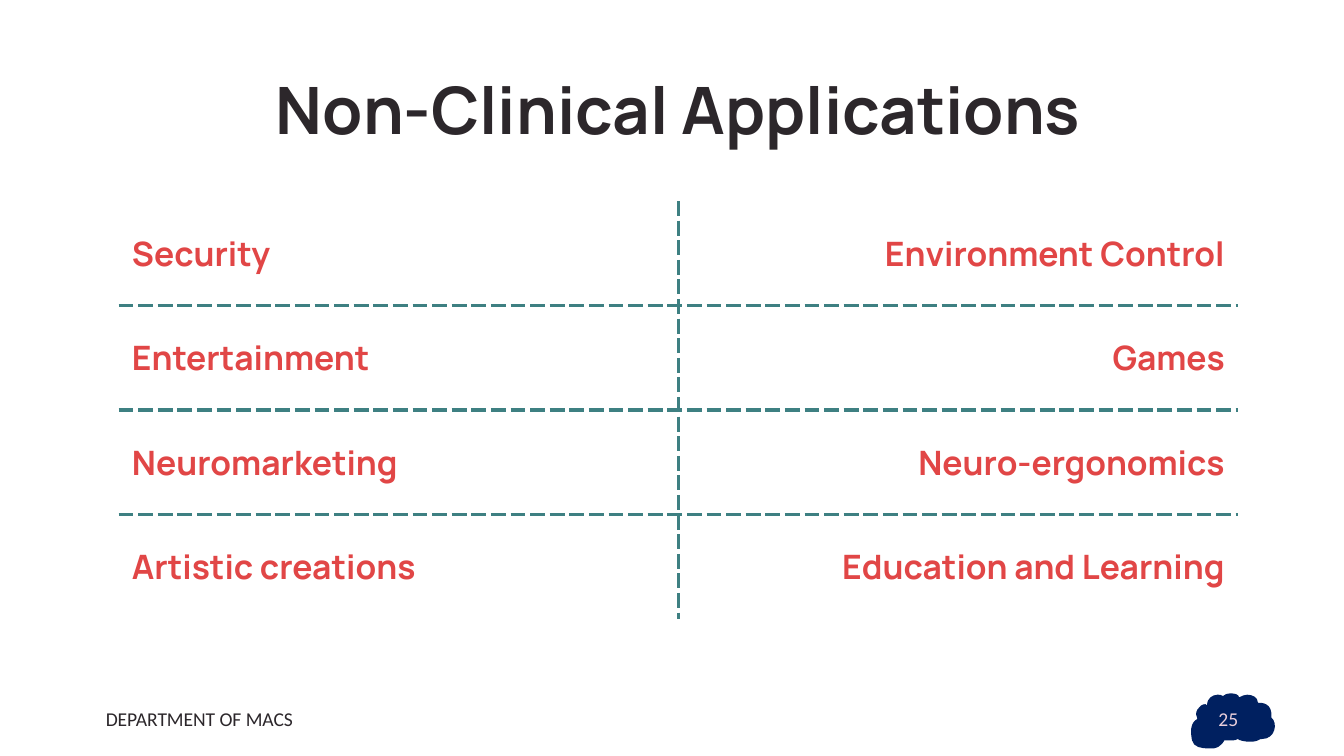
from lxml import etree
from pptx import Presentation
from pptx.dml.color import RGBColor
from pptx.enum.text import MSO_ANCHOR, PP_ALIGN
from pptx.oxml.ns import qn
from pptx.util import Cm, Pt

LEFT, CENTER, RIGHT = PP_ALIGN.LEFT, PP_ALIGN.CENTER, PP_ALIGN.RIGHT
MIDDLE = MSO_ANCHOR.MIDDLE

INK = RGBColor(0x2C, 0x27, 0x2B)
RED = RGBColor(0xE1, 0x46, 0x46)
TEAL = RGBColor(0x3E, 0x80, 0x82)
NAVY = RGBColor(0x00, 0x20, 0x60)
PINK = RGBColor(0xEA, 0xCF, 0xDB)

APPLICATIONS = [
    ("Security", "Environment Control"),
    ("Entertainment", "Games"),
    ("Neuromarketing", "Neuro-ergonomics"),
    ("Artistic creations", "Education and Learning"),
]

# Cloud outline in hundredths of an inch: two control points and an end per curve
CLOUD_UNIT = Cm(0.0254)
CLOUD_START = (916, 516)
CLOUD_CURVES = [
    ((919, 516), (922, 517), (922, 519)),
    ((924, 518), (926, 517), (928, 517)),
    ((932, 517), (936, 519), (936, 523)),
    ((936, 523), (936, 523), (936, 523)),
    ((939, 523), (947, 523), (946, 534)),
    ((951, 538), (949, 550), (939, 550)),
    ((939, 550), (938, 550), (938, 550)),
    ((935, 552), (932, 552), (930, 552)),
    ((926, 552), (922, 551), (921, 550)),
    ((920, 551), (918, 551), (917, 551)),
    ((914, 551), (911, 551), (911, 551)),
    ((911, 551), (909, 556), (903, 557)),
    ((902, 557), (900, 557), (899, 557)),
    ((894, 557), (888, 556), (887, 551)),
    ((886, 546), (885, 538), (891, 535)),
    ((888, 531), (892, 524), (897, 524)),
    ((897, 524), (898, 525), (898, 525)),
    ((898, 520), (902, 517), (906, 517)),
    ((907, 517), (909, 517), (910, 518)),
    ((911, 517), (913, 516), (916, 516)),
]


def write_text(text_frame, text, *, font="Calibri", size=10.5, color=INK,
               bold=False, align=LEFT):
    paragraph = text_frame.paragraphs[0]
    paragraph.alignment = align
    run = paragraph.add_run()
    run.text = text
    run.font.name = font
    run.font.size = Pt(size)
    run.font.bold = bold
    run.font.color.rgb = color


def bend_segments(shape):
    """Turn each three line segments of a freeform into one cubic curve."""
    segments = list(shape._element.iter(qn("a:lnTo")))
    for index in range(0, len(segments), 3):
        curve = etree.Element(qn("a:cubicBezTo"))
        segments[index].addprevious(curve)
        for segment in segments[index:index + 3]:
            curve.append(segment[0])
            segment.getparent().remove(segment)


def set_border(cell, side, visible):
    line = etree.SubElement(cell._tc.get_or_add_tcPr(), qn(f"a:ln{side}"),
                            w=str(Pt(2.25)))
    if visible:
        fill = etree.SubElement(line, qn("a:solidFill"))
        etree.SubElement(fill, qn("a:srgbClr"), val=str(TEAL))
        etree.SubElement(line, qn("a:prstDash"), val="sysDash")
    else:
        etree.SubElement(line, qn("a:noFill"))


class SlideBuilder:
    heading_font = "Manrope"

    def __init__(self, presentation):
        self.slide = presentation.slides.add_slide(presentation.slide_layouts[5])

    def title(self, text, left, top, width, height):
        shape = self.slide.shapes.title
        shape.left, shape.top = Cm(left), Cm(top)
        shape.width, shape.height = Cm(width), Cm(height)
        text_frame = shape.text_frame
        text_frame.vertical_anchor = MIDDLE
        write_text(text_frame, text, font=self.heading_font, size=35,
                   bold=True, align=CENTER)

    def label(self, text, left, top, width, height, **style):
        box = self.slide.shapes.add_textbox(Cm(left), Cm(top), Cm(width), Cm(height))
        box.text_frame.word_wrap = True
        write_text(box.text_frame, text, **style)

    def cloud(self):
        builder = self.slide.shapes.build_freeform(*CLOUD_START, scale=CLOUD_UNIT)
        builder.add_line_segments([point for curve in CLOUD_CURVES for point in curve],
                                  close=True)
        shape = builder.convert_to_shape()
        bend_segments(shape)
        shape.shadow.inherit = False
        shape.fill.solid()
        shape.fill.fore_color.rgb = NAVY
        shape.line.fill.background()

    def table(self, rows, left, top, width, height):
        last_row, last_column = len(rows) - 1, len(rows[0]) - 1
        table = self.slide.shapes.add_table(
            len(rows), len(rows[0]), Cm(left), Cm(top), Cm(width), Cm(height)).table
        table.first_row = table.horz_banding = False
        for r, row in enumerate(rows):
            for c, text in enumerate(row):
                cell = table.cell(r, c)
                cell.vertical_anchor = MIDDLE
                write_text(cell.text_frame, text, font=self.heading_font, size=18,
                           color=RED, bold=True, align=RIGHT if c else LEFT)
                # Only the inner grid lines are drawn
                set_border(cell, "L", c > 0)
                set_border(cell, "R", c < last_column)
                set_border(cell, "T", r > 0)
                set_border(cell, "B", r < last_row)
                cell.fill.background()


def main():
    presentation = Presentation()
    presentation.slide_width, presentation.slide_height = Cm(25.4), Cm(14.29)
    builder = SlideBuilder(presentation)

    # Heading
    builder.title("Non-Clinical Applications", 2.12, 1.24, 21.41, 1.6)

    # Footer and page number
    builder.label("DEPARTMENT OF MACS", 1.75, 13.23, 5.72, 0.76)
    builder.cloud()
    builder.label("25", 17.93, 13.23, 5.72, 0.76, color=PINK, align=RIGHT)

    # Applications
    builder.table(APPLICATIONS, 2.24, 3.8, 21.16, 7.9)

    presentation.save("out.pptx")


if __name__ == "__main__":
    main()
